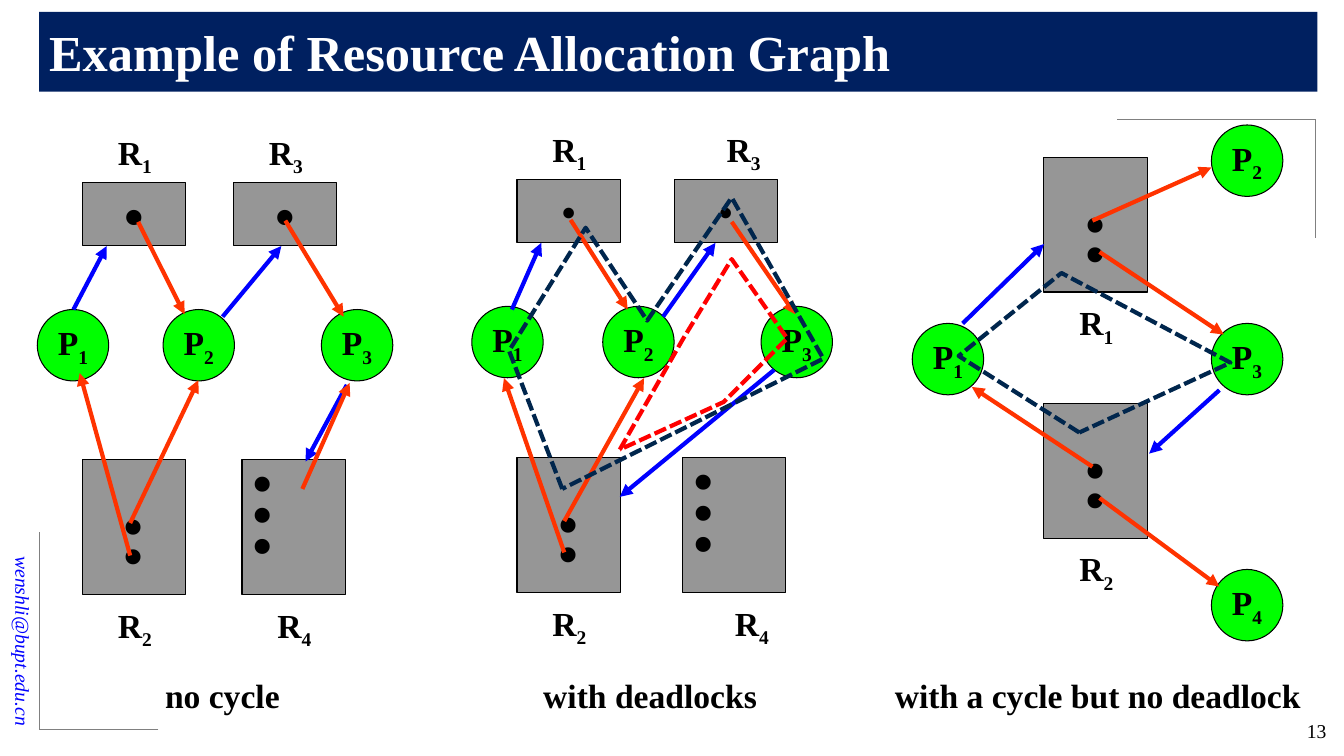
from lxml.etree import SubElement
from pptx import Presentation
from pptx.dml.color import RGBColor
from pptx.enum.dml import MSO_LINE
from pptx.enum.shapes import MSO_CONNECTOR, MSO_SHAPE
from pptx.enum.text import MSO_ANCHOR, MSO_AUTO_SIZE, PP_ALIGN
from pptx.oxml.ns import qn
from pptx.util import Cm, Pt

FONT = "Times New Roman"
COLORS = {
    "title": "002060", "white": "FFFFFF", "black": "000000", "process": "00FF00",
    "resource": "969696", "request": "0000FF", "assign": "FF3300",
    "red": "FF0000", "navy": "00264D", "corner": "808080",
}
PROCESS_SIZE = 1.8
RESOURCE_WIDTH = 2.6
LOW, TALL = 1.6, 3.4

# Dots inside a resource: text, size, box height, vertical text
DOTS = {
    "one": ("•", 40, LOW, False),
    "one small": ("•", 28, LOW, False),
    "two": (":", 66, TALL, False),
    "three": ("…", 66, TALL, True),
}

# Processes: number, left, top. Resources: number, left, top, dots, label indent.
# Arrows: from x, y, to x, y. Cycles: colour, corner points.
PANELS = [
    {
        "caption": ("no cycle", 3.91, 3.43),
        "processes": [(1, 0.94, 7.8), (2, 4.11, 7.8), (3, 8.1, 7.8)],
        "resources": [(1, 2.08, 4.6, "one", 0.64), (3, 5.89, 4.6, "one", 0.64),
                      (2, 2.08, 11.58, "two", 0.64), (4, 6.1, 11.58, "three", 0.64)],
        "request": [(1.85, 7.8, 2.69, 6.2), (5.61, 7.98, 7.09, 6.2),
                    (8.74, 9.7, 7.7, 11.63)],
        "assign": [(3.48, 5.59, 4.65, 7.92), (7.19, 5.56, 8.66, 7.98),
                   (3.28, 13.18, 5, 9.58), (3.28, 14, 2.01, 9.4),
                   (7.62, 12.32, 8.81, 9.65)],
        "cycles": [],
    },
    {
        "caption": ("with deadlocks", 13.44, 5.94),
        "processes": [(1, 11.89, 7.72), (2, 15.19, 7.72), (3, 19.18, 7.72)],
        "resources": [(1, 13.03, 4.52, "one small", 0.64),
                      (3, 16.99, 4.52, "one small", 1.07),
                      (2, 13.03, 11.53, "two", 0.64), (4, 17.2, 11.53, "three", 1.07)],
        "request": [(12.9, 7.8, 13.64, 6.12), (16.71, 7.98, 18.03, 6.12),
                    (19.51, 9.32, 15.62, 12.52)],
        "assign": [(14.38, 5.54, 15.82, 7.8), (18.44, 5.59, 20.04, 7.92),
                   (14.22, 13.13, 16.23, 9.53), (14.22, 13.92, 12.7, 9.53)],
        "cycles": [
            ("red", [(15.62, 11.33), (17.22, 8.53), (18.44, 6.53), (19.84, 8.53),
                     (18.24, 10.13)]),
            ("navy", [(14.17, 12.32), (12.83, 8.84), (14.76, 5.74), (16.31, 8.08),
                      (18.44, 4.98), (20.75, 9.04)]),
        ],
    },
    {
        "caption": ("with a cycle but no deadlock", 22.3, 10.85),
        "processes": [(1, 22.99, 8.15), (2, 30.53, 3.15), (3, 30.53, 8.15),
                      (4, 30.53, 14.35)],
        "resources": [(1, 26.31, 3.96, "two", 0.64), (2, 26.31, 10.16, "two", 0.64)],
        "request": [(24.26, 8.15, 26.31, 6.15), (30.73, 9.83, 28.96, 11.43)],
        "assign": [(27.53, 11.76, 24.49, 9.75), (27.53, 5.56, 30.53, 4.22),
                   (27.71, 6.35, 30.84, 8.43), (27.71, 12.55, 30.73, 14.78)],
        "cycles": [("navy", [(27.2, 10.9), (26.87, 10.69), (24.16, 8.97),
                             (26.75, 6.88), (31.01, 9.14)])],
    },
]

CORNER_LINES = [
    (0.99, 0.3, 0.99, 1.8), (0.99, 0.3, 5.99, 0.3),
    (0.99, 13.41, 0.99, 18.39), (3.99, 18.39, 0.99, 18.39),
    (33.15, 3, 33.15, 5.99), (33.15, 3, 28.14, 3),
]


def color(name):
    return RGBColor.from_string(COLORS[name])


def add_run(paragraph, text, size=24, ink="black", bold=True, italic=False):
    run = paragraph.add_run()
    run.text = text
    run.font.name = FONT
    run.font.size = Pt(size)
    run.font.bold = bold
    run.font.italic = italic
    run.font.color.rgb = color(ink)
    return run


def add_name(paragraph, letter, number):
    add_run(paragraph, letter)
    subscript = add_run(paragraph, str(number))
    subscript._r.get_or_add_rPr().set("baseline", "-25000")


def add_box(slide, preset, left, top, width, height, fill, outlined=True):
    shape = slide.shapes.add_shape(preset, Cm(left), Cm(top), Cm(width), Cm(height))
    shape.shadow.inherit = False
    shape.fill.solid()
    shape.fill.fore_color.rgb = color(fill)
    if outlined:
        shape.line.color.rgb = color("black")
        shape.line.width = Pt(0.75)
    else:
        shape.line.fill.background()
    shape.text_frame.vertical_anchor = MSO_ANCHOR.MIDDLE
    shape.text_frame.word_wrap = False
    shape.text_frame.paragraphs[0].alignment = PP_ALIGN.CENTER
    return shape


def add_text(slide, left, top, width, height, wrap=False):
    shape = slide.shapes.add_textbox(Cm(left), Cm(top), Cm(width), Cm(height))
    shape.text_frame.word_wrap = wrap
    shape.text_frame.auto_size = MSO_AUTO_SIZE.SHAPE_TO_FIT_TEXT
    return shape


def add_line(slide, ends, ink, width, arrow=False):
    connector = slide.shapes.add_connector(MSO_CONNECTOR.STRAIGHT, *map(Cm, ends))
    connector.line.color.rgb = color(ink)
    connector.line.width = Pt(width)
    if arrow:
        SubElement(connector.line._get_or_add_ln(), qn("a:tailEnd"), type="triangle")
    SubElement(connector._element.spPr, qn("a:effectLst"))


def add_process(slide, number, left, top):
    shape = add_box(slide, MSO_SHAPE.OVAL, left, top, PROCESS_SIZE, PROCESS_SIZE, "process")
    add_name(shape.text_frame.paragraphs[0], "P", number)


def add_resource(slide, number, left, top, dots, indent, label_above):
    text, size, height, vertical = DOTS[dots]
    shape = add_box(slide, MSO_SHAPE.RECTANGLE, left, top, RESOURCE_WIDTH, height, "resource")
    paragraph = shape.text_frame.paragraphs[0]
    add_run(paragraph, text, size)
    if vertical:
        shape.text_frame._txBody.bodyPr.set("vert", "eaVert")
        paragraph.space_after = Pt(38)
    label_top = top - 1.4 if label_above else top + 3.53
    label = add_text(slide, left + indent, label_top, 1.42, 1.3)
    add_name(label.text_frame.paragraphs[0], "R", number)


def add_cycle(slide, ink, points):
    start, *others = [(Cm(x), Cm(y)) for x, y in points]
    builder = slide.shapes.build_freeform(*start)
    builder.add_line_segments(others, close=True)
    shape = builder.convert_to_shape()
    shape.shadow.inherit = False
    shape.fill.background()
    shape.line.color.rgb = color(ink)
    shape.line.width = Pt(3)
    shape.line.dash_style = MSO_LINE.SQUARE_DOT


def add_panel(slide, panel):
    for process in panel["processes"]:
        add_process(slide, *process)
    for resource in panel["resources"]:
        add_resource(slide, *resource, label_above=resource[3].startswith("one"))
    for kind in ("request", "assign"):
        for ends in panel[kind]:
            add_line(slide, ends, kind, 3, arrow=True)
    for cycle in panel["cycles"]:
        add_cycle(slide, *cycle)
    caption, left, width = panel["caption"]
    shape = add_text(slide, left, 16.89, width, 1.27)
    add_run(shape.text_frame.paragraphs[0], caption)


def main():
    presentation = Presentation()
    presentation.slide_width, presentation.slide_height = Cm(33.87), Cm(19.05)
    slide = presentation.slides.add_slide(presentation.slide_layouts[6])

    # Frame: address, corner lines, title
    address = add_text(slide, -2.77, 14.76, 6.71, 0.86, wrap=True)
    address.rotation = 90
    address.text_frame.vertical_anchor = MSO_ANCHOR.MIDDLE
    paragraph = address.text_frame.paragraphs[0]
    paragraph.alignment = PP_ALIGN.RIGHT
    add_run(paragraph, "wenshli@bupt.edu.cn", 14, "request", bold=False, italic=True)
    for ends in CORNER_LINES:
        add_line(slide, ends, "corner", 0.5)
    title = add_box(slide, MSO_SHAPE.RECTANGLE, 0.99, 0.3, 32.21, 2.01, "title", outlined=False)
    title.text_frame.word_wrap = True
    paragraph = title.text_frame.paragraphs[0]
    paragraph.alignment = PP_ALIGN.LEFT
    add_run(paragraph, "Example of Resource Allocation Graph", 36, "white")

    # The three allocation graphs
    for panel in PANELS:
        add_panel(slide, panel)

    # Slide number
    number = add_text(slide, 30.86, 17.98, 2.82, 0.91, wrap=True)
    paragraph = number.text_frame.paragraphs[0]
    paragraph.alignment = PP_ALIGN.RIGHT
    add_run(paragraph, "13", 14, bold=False)

    presentation.save("out.pptx")


if __name__ == "__main__":
    main()
